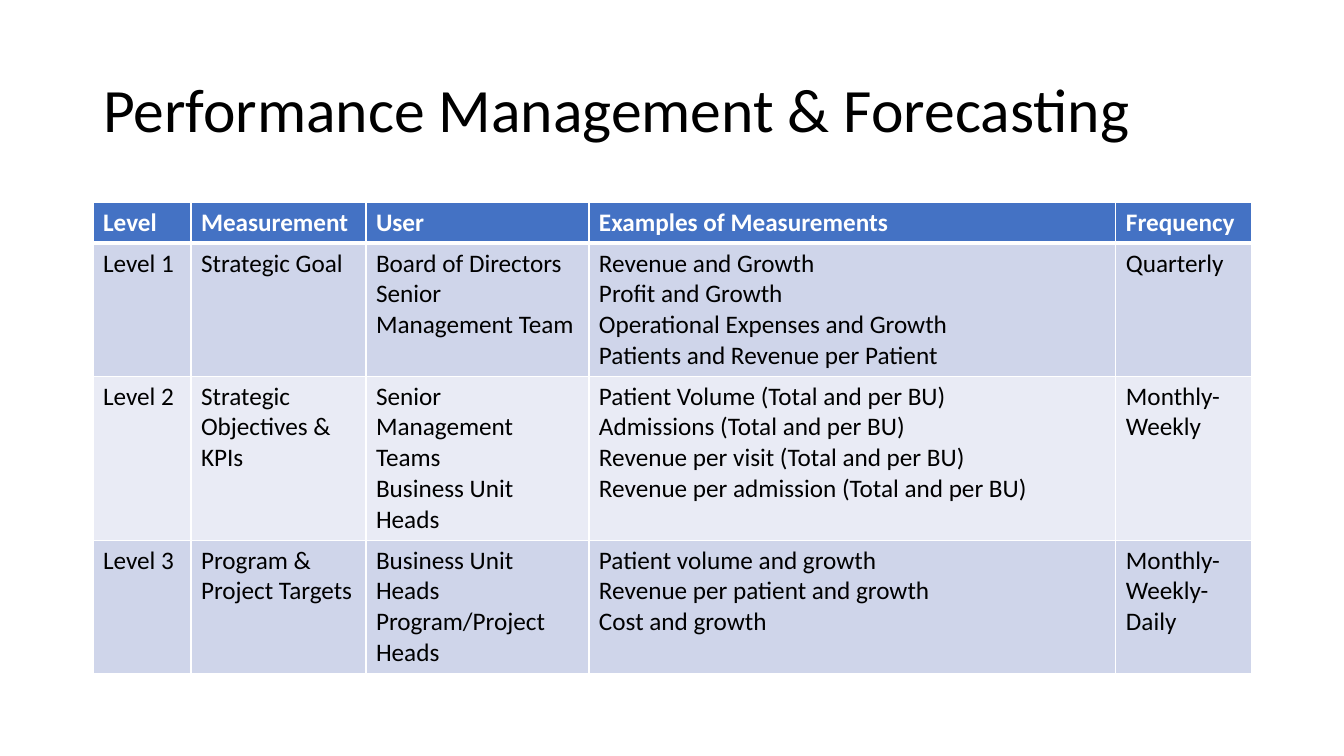
"""Build the performance management and forecasting slide."""
from lxml import etree
from pptx import Presentation
from pptx.dml.color import RGBColor
from pptx.enum.text import MSO_ANCHOR, PP_ALIGN
from pptx.oxml.ns import qn
from pptx.util import Pt

LEFT = PP_ALIGN.LEFT
TOP, MIDDLE = MSO_ANCHOR.TOP, MSO_ANCHOR.MIDDLE
SCALE = 914400 / 100.8
WHITE, BLACK, BLUE = "FFFFFF", "000000", "4472C4"
BANDS = ["CFD5EA", "E9EBF5"]


def px(size):
    """Turn pixels into EMU."""
    return round(size * SCALE)


def color(code):
    """Turn a hex string into a colour."""
    return RGBColor.from_string(code)


def write(frame, text, font="Calibri", size=18, ink=BLACK, bold=False, space=1.0):
    """Fill a text frame, one paragraph for each line of text."""
    frame.word_wrap = True
    for i, line in enumerate(text.split("\n")):
        para = frame.add_paragraph() if i else frame.paragraphs[0]
        para.alignment = LEFT
        para.line_spacing = space
        run = para.add_run()
        run.text = line
        run.font.name, run.font.size = font, Pt(size)
        run.font.bold, run.font.color.rgb = bold, color(ink)


def edge(cell, side, width):
    """Draw one white border of a cell."""
    line = etree.SubElement(cell._tc.get_or_add_tcPr(), qn(f"a:ln{side}"), w=str(Pt(width)))
    fill = etree.SubElement(line, qn("a:solidFill"))
    etree.SubElement(fill, qn("a:srgbClr"), val=WHITE)


class Deck:
    """Hold the style and the current slide."""

    def __init__(self, wide, high):
        """Start a deck with one title slide."""
        self.show = Presentation()
        self.show.slide_width, self.show.slide_height = px(wide), px(high)
        self.slide = self.show.slides.add_slide(self.show.slide_layouts[5])

    def title(self, text, left, top, wide, high):
        """Place and fill the title."""
        shape = self.slide.shapes.title
        shape.left, shape.top = px(left), px(top)
        shape.width, shape.height = px(wide), px(high)
        shape.text_frame.vertical_anchor = MIDDLE
        write(shape.text_frame, text, size=44, space=0.9)

    def table(self, rows, left, top, cols, highs):
        """Add a banded table with a header row."""
        grid = self.slide.shapes.add_table(
            len(rows), len(cols), px(left), px(top), px(sum(cols)), px(sum(highs))).table
        for col, wide in zip(grid.columns, cols):
            col.width = px(wide)
        for r, (row, high) in enumerate(zip(rows, highs)):
            grid.rows[r].height = px(high)
            for c, text in enumerate(row):
                self.cell(grid.cell(r, c), text, r)

    def cell(self, cell, text, row):
        """Fill and format one cell by its row."""
        head = row == 0
        widths = {"L": 1, "R": 1, "T": 3 if row == 1 else 1, "B": 3 if head else 1}
        for side, width in widths.items():
            edge(cell, side, width)
        cell.fill.solid()
        cell.fill.fore_color.rgb = color(BLUE if head else BANDS[(row - 1) % 2])
        cell.vertical_anchor = TOP
        write(cell.text_frame, text, ink=WHITE if head else BLACK, bold=head)


ROWS = [
    ["Level", "Measurement", "User", "Examples of Measurements", "Frequency"],
    ["Level 1", "Strategic Goal", "Board of Directors\nSenior Management Team",
     "Revenue and Growth\nProfit and Growth\nOperational Expenses and Growth\n"
     "Patients and Revenue per Patient", "Quarterly"],
    ["Level 2", "Strategic Objectives & KPIs",
     "Senior Management Teams\nBusiness Unit Heads",
     "Patient Volume (Total and per BU)\nAdmissions (Total and per BU)\n"
     "Revenue per visit (Total and per BU)\nRevenue per admission (Total and per BU)",
     "Monthly-Weekly"],
    ["Level 3", "Program & Project Targets", "Business Unit Heads\nProgram/Project Heads",
     "Patient volume and growth\nRevenue per patient and growth\nCost and growth",
     "Monthly-Weekly-Daily"],
]

deck = Deck(1344, 756)
deck.title("Performance Management & Forecasting", 93, 40, 1159, 146)
deck.table(ROWS, 93, 202, [98, 175, 223, 527, 136], [41, 133, 164, 133])
deck.show.save("out.pptx")
